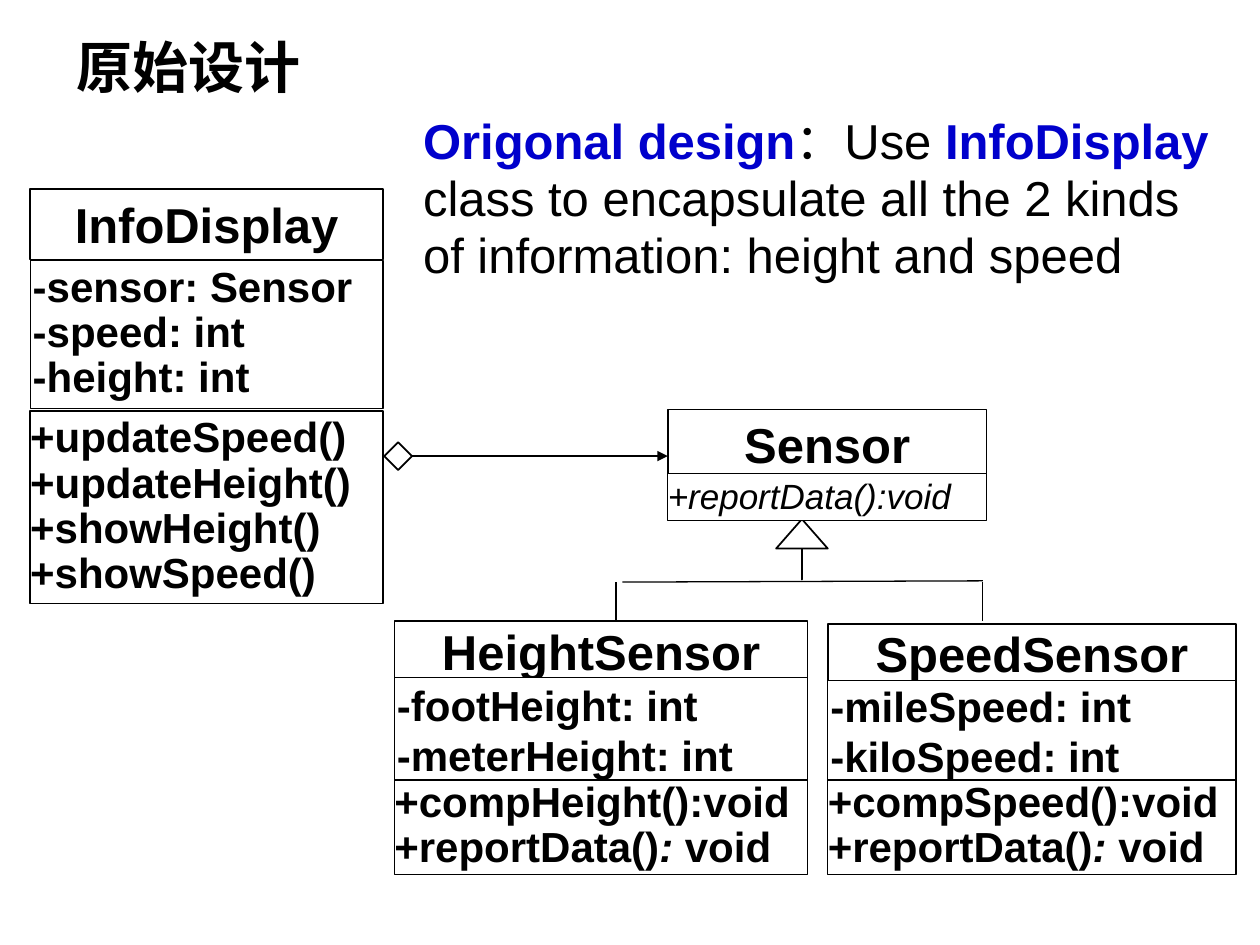
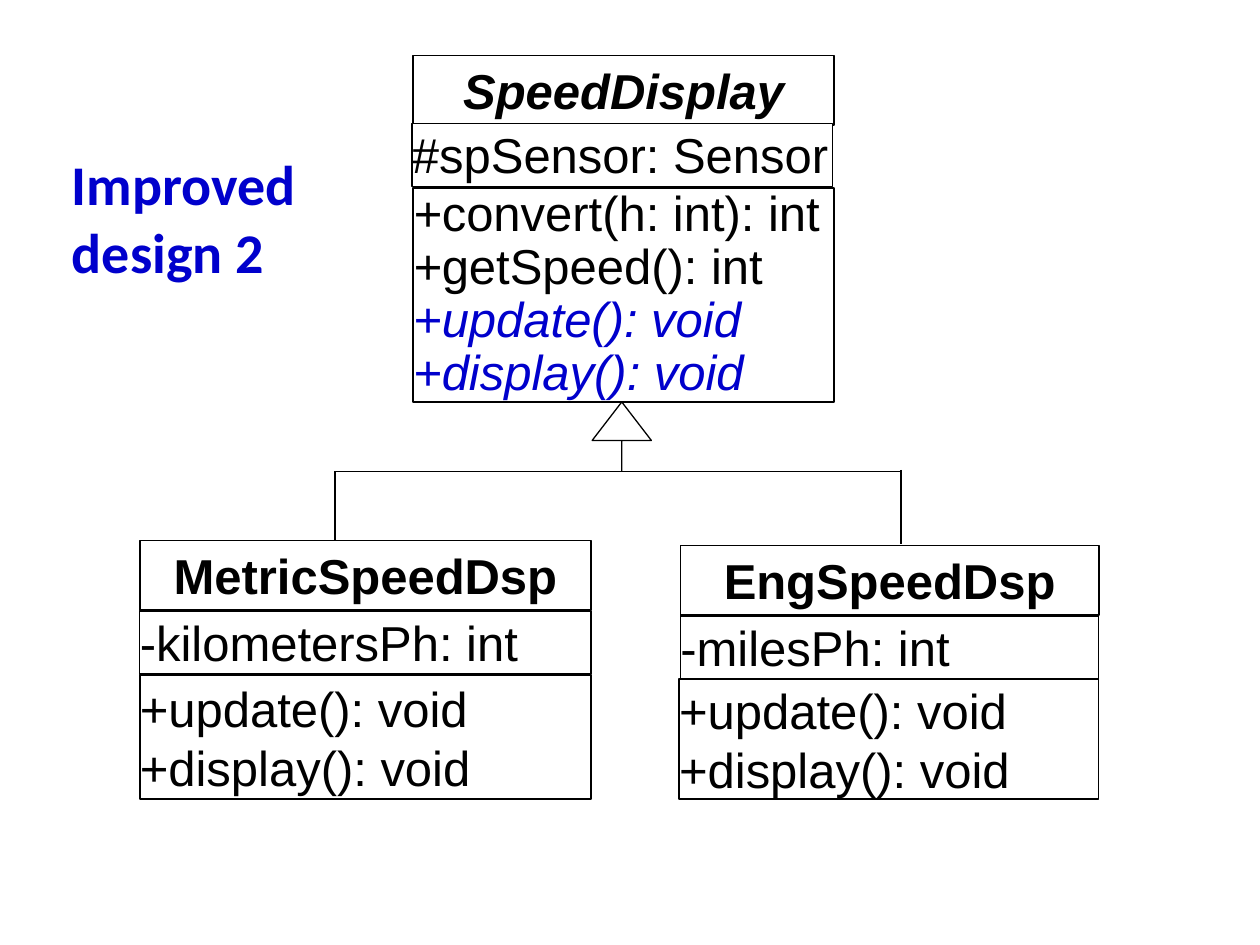
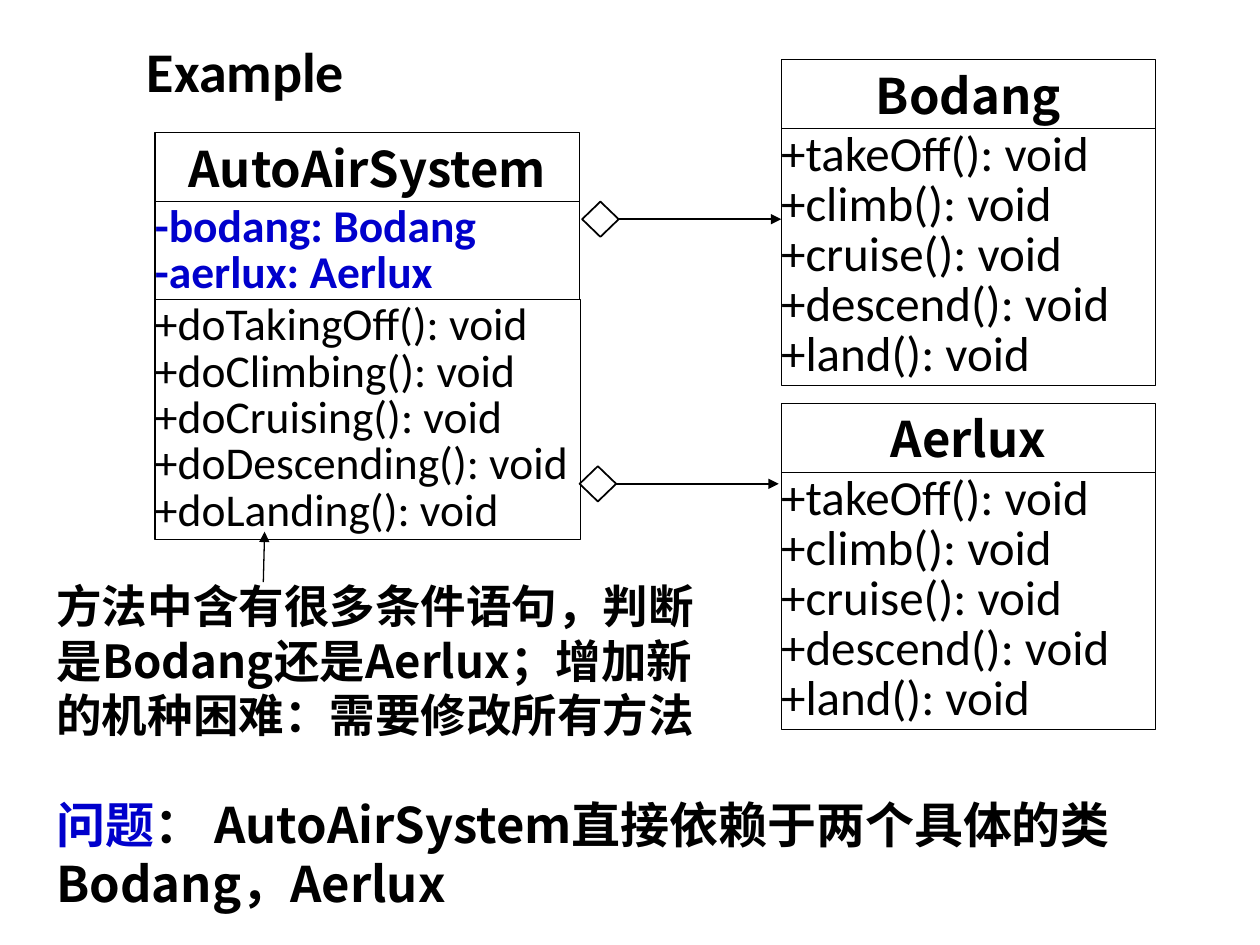
from dataclasses import dataclass, replace
from typing import NamedTuple, Optional

from lxml import etree
from pptx import Presentation
from pptx import util as u
from pptx.dml.color import RGBColor
from pptx.enum import shapes, text
from pptx.oxml import ns

Shape = shapes.MSO_SHAPE
Anchor = text.MSO_ANCHOR
Align = text.PP_ALIGN


# ---- Theme and descriptions of repeated elements ----
@dataclass(frozen=True)
class Theme:
    ink: RGBColor = RGBColor(0x00, 0x00, 0x00)
    accent: RGBColor = RGBColor(0x00, 0x00, 0xCC)
    paper: RGBColor = RGBColor(0xFF, 0xFF, 0xFF)
    arial: str = "Arial"
    calibri: str = "Calibri"
    cjk: str = "Noto Sans CJK SC"
    title: int = 32
    large: int = 28
    medium: int = 26
    small: int = 24
    tiny: int = 20
    thin: float = 0.75
    thick: float = 1


THEME = Theme()


class Run(NamedTuple):
    text: str
    accent: bool = False
    bold: Optional[bool] = None
    italic: Optional[bool] = None


class Area(NamedTuple):
    left: float
    top: float
    width: float
    height: float


@dataclass(frozen=True)
class Style:
    size: int = THEME.large
    font: str = THEME.arial
    bold: bool = False
    italic: bool = False
    accent: bool = False
    align: Align = Align.LEFT
    anchor: Anchor = Anchor.TOP
    spacing: float = 1
    before: float = 0
    hanging: float = 0
    pad_x: float = 0
    pad_y: float = 0


@dataclass(frozen=True)
class Compartment:
    """One row of a class box; each line is a string or a list of runs."""
    top: float
    height: float
    lines: list
    style: Style
    border: float = THEME.thin
    left: Optional[float] = None
    width: Optional[float] = None


@dataclass(frozen=True)
class ClassBox:
    left: float
    width: float
    compartments: list[Compartment]


# ---- Styles ----
NAME = Style(bold=True, align=Align.CENTER, anchor=Anchor.MIDDLE, pad_y=0.03)
CJK_NAME = replace(NAME, font=THEME.cjk, pad_y=0.04)
FIELD = Style(size=THEME.small, bold=True, pad_x=0.02, pad_y=0.01)
METHOD = Style(size=THEME.small, bold=True, spacing=0.9, pad_y=0.01)
PLAIN = Style(pad_y=0.01)
PLAIN_MIDDLE = Style(anchor=Anchor.MIDDLE)
FLIGHT = Style(font=THEME.calibri, anchor=Anchor.MIDDLE, spacing=0.85, pad_y=0.02)
SYSTEM = replace(FLIGHT, size=THEME.medium)
TITLE = Style(size=THEME.title, font=THEME.calibri, bold=True, pad_x=0.1, pad_y=0.05)
NOTE = Style(font=THEME.cjk, bold=True, pad_x=0.1, pad_y=0.05)


# ---- Drawing functions ----
def box(area: Area) -> list[u.Length]:
    return [u.Inches(value) for value in area]


def write(frame, lines: list, style: Style) -> None:
    frame.auto_size = text.MSO_AUTO_SIZE.NONE
    frame.word_wrap = True
    frame.vertical_anchor = style.anchor
    frame.margin_left = frame.margin_right = u.Inches(style.pad_x)
    frame.margin_top = frame.margin_bottom = u.Inches(style.pad_y)
    for index, line in enumerate(lines):
        paragraph = frame.add_paragraph() if index else frame.paragraphs[0]
        paragraph.alignment = style.align
        paragraph.line_spacing = style.spacing
        if index and style.before:
            paragraph.space_before = u.Pt(style.before)
        if style.hanging:
            indent = u.Inches(style.hanging)
            properties = paragraph._p.get_or_add_pPr()
            properties.set("marL", str(indent))
            properties.set("indent", str(-indent))
        for piece in [Run(line)] if isinstance(line, str) else line:
            run = paragraph.add_run()
            run.text = piece.text
            font = run.font
            font.size = u.Pt(style.size)
            font.name = style.font
            font.bold = style.bold if piece.bold is None else piece.bold
            font.italic = style.italic if piece.italic is None else piece.italic
            font.color.rgb = THEME.accent if piece.accent or style.accent else THEME.ink
            east_asian = etree.SubElement(run._r.get_or_add_rPr(), ns.qn("a:ea"))
            east_asian.set("typeface", THEME.cjk)


def add_title(slide, area: Area, title: str, style: Style) -> None:
    heading = slide.shapes.title
    heading.left, heading.top, heading.width, heading.height = box(area)
    write(heading.text_frame, [title], style)


def add_note(slide, area: Area, lines: list, style: Style) -> None:
    write(slide.shapes.add_textbox(*box(area)).text_frame, lines, style)


def add_outline(slide, kind: Shape, area: Area, border: float, filled: bool = True):
    outline = slide.shapes.add_shape(kind, *box(area))
    outline.shadow.inherit = False
    if filled:
        outline.fill.solid()
        outline.fill.fore_color.rgb = THEME.paper
    else:
        outline.fill.background()
    outline.line.color.rgb = THEME.ink
    outline.line.width = u.Pt(border)
    return outline


def add_class(slide, class_box: ClassBox) -> None:
    for row in class_box.compartments:
        left = class_box.left if row.left is None else row.left
        area = Area(left, row.top, row.width or class_box.width, row.height)
        outline = add_outline(slide, Shape.RECTANGLE, area, row.border)
        write(outline.text_frame, row.lines, row.style)


def add_inheritance(slide, area: Area, head: float, border: float, filled: bool) -> None:
    """Hollow triangle on a stem without width."""
    triangle = add_outline(slide, Shape.UP_ARROW, area, border, filled)
    triangle.adjustments[0] = 0
    triangle.adjustments[1] = head


def add_line(slide, start: tuple[float, float], end: tuple[float, float],
             width: float = THEME.thin, arrow: bool = False):
    line = slide.shapes.add_connector(
        shapes.MSO_CONNECTOR.STRAIGHT, *(u.Inches(value) for value in (*start, *end)))
    line.line.color.rgb = THEME.ink
    line.line.width = u.Pt(width)
    if arrow:
        tip = etree.SubElement(line.line._get_or_add_ln(), ns.qn("a:tailEnd"))
        tip.set("type", "triangle")
    etree.SubElement(line._element.spPr, ns.qn("a:effectLst"))
    return line


def add_aggregation(slide, area: Area, end_x: float, width: float) -> None:
    """Diamond at the owner, with an arrow to the class it holds."""
    diamond = add_outline(slide, Shape.DIAMOND, area, THEME.thick)
    middle = area.top + area.height / 2
    arrow = add_line(slide, (area.left + area.width, middle), (end_x, middle), width, True)
    arrow.begin_connect(diamond, 3)


# ---- Slide 1: first design ----
def sensor_class(left: float, width: float, name: str, name_top: float,
                 fields: Compartment, compute: str) -> ClassBox:
    report = [Run("+reportData()"), Run(": ", italic=True), Run("void")]
    return ClassBox(left, width, [
        Compartment(name_top, 0.47, [name], replace(NAME, pad_y=0), THEME.thick),
        fields,
        Compartment(6.19, 0.75, [compute, report], METHOD),
    ])


def build_first_design(slide) -> None:
    add_title(slide, Area(0.51, 0.21, 2.2, 0.64), "原始设计", replace(TITLE, font=THEME.cjk))
    add_class(slide, ClassBox(0.24, 2.8, [
        Compartment(1.5, 0.56, ["InfoDisplay"], NAME, THEME.thick),
        Compartment(3.26, 1.53,
                    ["+updateSpeed()", "+updateHeight()", "+showHeight()", "+showSpeed()"],
                    replace(METHOD, anchor=Anchor.MIDDLE), THEME.thick),
        Compartment(2.07, 1.17, ["-sensor: Sensor", "-speed: int", "-height: int"],
                    replace(FIELD, spacing=0.9, pad_y=0.04)),
    ]))
    add_class(slide, sensor_class(
        6.57, 3.24, "SpeedSensor", 4.95,
        Compartment(5.4, 0.81, ["-mileSpeed: int", "-kiloSpeed: int"],
                    replace(FIELD, pad_y=0)),
        "+compSpeed():void"))
    add_class(slide, sensor_class(
        3.13, 3.28, "HeightSensor", 4.93,
        Compartment(5.38, 0.83, ["-footHeight: int", "-meterHeight: int"], FIELD),
        "+compHeight():void"))
    add_inheritance(slide, Area(6.16, 4.12, 0.41, 0.48), 0.57, THEME.thick, True)
    add_class(slide, ClassBox(5.3, 2.53, [
        Compartment(3.25, 0.54, ["Sensor"], NAME, THEME.thick),
        Compartment(3.76, 0.37, ["+reportData():void"],
                    replace(PLAIN, size=THEME.tiny, italic=True)),
    ]))

    # Relations
    add_line(slide, (4.94, 4.62), (7.8, 4.61))
    for branch_x in (7.8, 4.89):
        add_line(slide, (branch_x, 4.62), (branch_x, 4.93))
    add_aggregation(slide, Area(3.05, 3.51, 0.22, 0.22), 5.3, THEME.thin)

    # Explanation
    add_note(slide, Area(3.26, 0.92, 6.47, 1.57), [
        [Run("Origonal design", True, True), Run("：Use "), Run("InfoDisplay", True, True)],
        "class to encapsulate all the 2 kinds",
        "of information: height and speed",
    ], replace(NOTE, font=THEME.arial, bold=False, spacing=0.8, before=5.6, hanging=0.38))


# ---- Slide 2: improved design ----
def build_improved_design(slide) -> None:
    overrides = ["+update(): void", "+display(): void"]
    add_title(slide, Area(0.47, 1.14, 2.14, 1.17), "Improved design 2",
              replace(TITLE, accent=True))
    add_class(slide, ClassBox(3.28, 3.34, [
        Compartment(0.44, 0.55, ["SpeedDisplay"], replace(NAME, italic=True), THEME.thick),
        Compartment(1.49, 1.7, [
            [Run("+", italic=True), Run("convert(h: int): int")],
            [Run("+", italic=True), Run("getSpeed(): int")],
            *([Run(method, True, italic=True)] for method in overrides),
        ], replace(PLAIN_MIDDLE, spacing=0.9), THEME.thick),
        Compartment(0.98, 0.5, ["#spSensor: Sensor"], PLAIN, left=3.27),
    ]))
    add_class(slide, ClassBox(1.11, 3.58, [
        Compartment(4.29, 0.55, ["MetricSpeedDsp"], NAME, THEME.thick),
        Compartment(4.85, 0.5, ["-kilometersPh: int"], PLAIN),
        Compartment(5.36, 0.98, overrides, PLAIN_MIDDLE, THEME.thick),
    ]))
    add_class(slide, ClassBox(5.4, 3.32, [
        Compartment(4.33, 0.55, ["EngSpeedDsp"], NAME, THEME.thick),
        Compartment(4.89, 0.5, ["-milesPh: int"], PLAIN),
        Compartment(5.39, 0.95, overrides, PLAIN_MIDDLE, THEME.thick, left=5.39, width=3.33),
    ]))

    # Inheritance
    add_line(slide, (2.66, 3.74), (7.14, 3.74))
    add_line(slide, (2.66, 3.74), (2.66, 4.29))
    add_line(slide, (7.15, 3.73), (7.15, 4.32))
    add_inheritance(slide, Area(4.7, 3.19, 0.47, 0.55), 0.65, THEME.thin, False)


# ---- Slide 3: aircraft example ----
def build_example(slide) -> None:
    add_title(slide, Area(0.5, 0.28, 3, 0.56), "Example ",
              replace(TITLE, align=Align.CENTER, anchor=Anchor.MIDDLE, pad_y=0.01))

    # Aircraft classes
    maneuvers = [f"+{verb}(): void" for verb in
                 ("takeOff", "climb", "cruise", "descend", "land")]
    for aircraft, top, name_height in (("Bodang", 0.47, 0.56), ("Aerlux", 3.2, 0.55)):
        add_class(slide, ClassBox(6.2, 2.97, [
            Compartment(top, name_height, [aircraft], CJK_NAME),
            Compartment(top + 0.55, 2.04, maneuvers, FLIGHT),
        ]))

    # Control system
    steps = [f"+do{step}(): void" for step in
             ("TakingOff", "Climbing", "Cruising", "Descending", "Landing")]
    add_class(slide, ClassBox(1.23, 3.37, [
        Compartment(1.05, 0.56, ["AutoAirSystem"], CJK_NAME),
        Compartment(1.6, 0.79, ["-bodang: Bodang", "-aerlux: Aerlux"],
                    replace(SYSTEM, bold=True, accent=True)),
        Compartment(2.38, 1.9, steps, SYSTEM, width=3.38),
    ]))
    add_aggregation(slide, Area(4.62, 1.6, 0.29, 0.28), 6.2, THEME.thick)
    add_aggregation(slide, Area(4.6, 3.7, 0.29, 0.28), 6.18, THEME.thick)

    # Remarks
    add_note(slide, Area(0.35, 4.54, 5.51, 1.41),
             ["方法中含有很多条件语句，判断是Bodang还是Aerlux；增加新的机种困难：需要修改所有方法"],
             replace(NOTE, size=THEME.medium))
    add_line(slide, (2.09, 4.62), (2.1, 4.22), arrow=True)
    add_note(slide, Area(0.35, 6.26, 9.21, 1.03), [
        [Run("问题", True), Run("： AutoAirSystem直接依赖于两个具体的类Bodang，Aerlux")],
    ], NOTE)


def main() -> None:
    deck = Presentation()
    deck.slide_width, deck.slide_height = u.Inches(10), u.Inches(7.5)
    title_only = deck.slide_layouts[5]
    for build in (build_first_design, build_improved_design, build_example):
        build(deck.slides.add_slide(title_only))
    deck.save("out.pptx")


if __name__ == "__main__":
    main()
